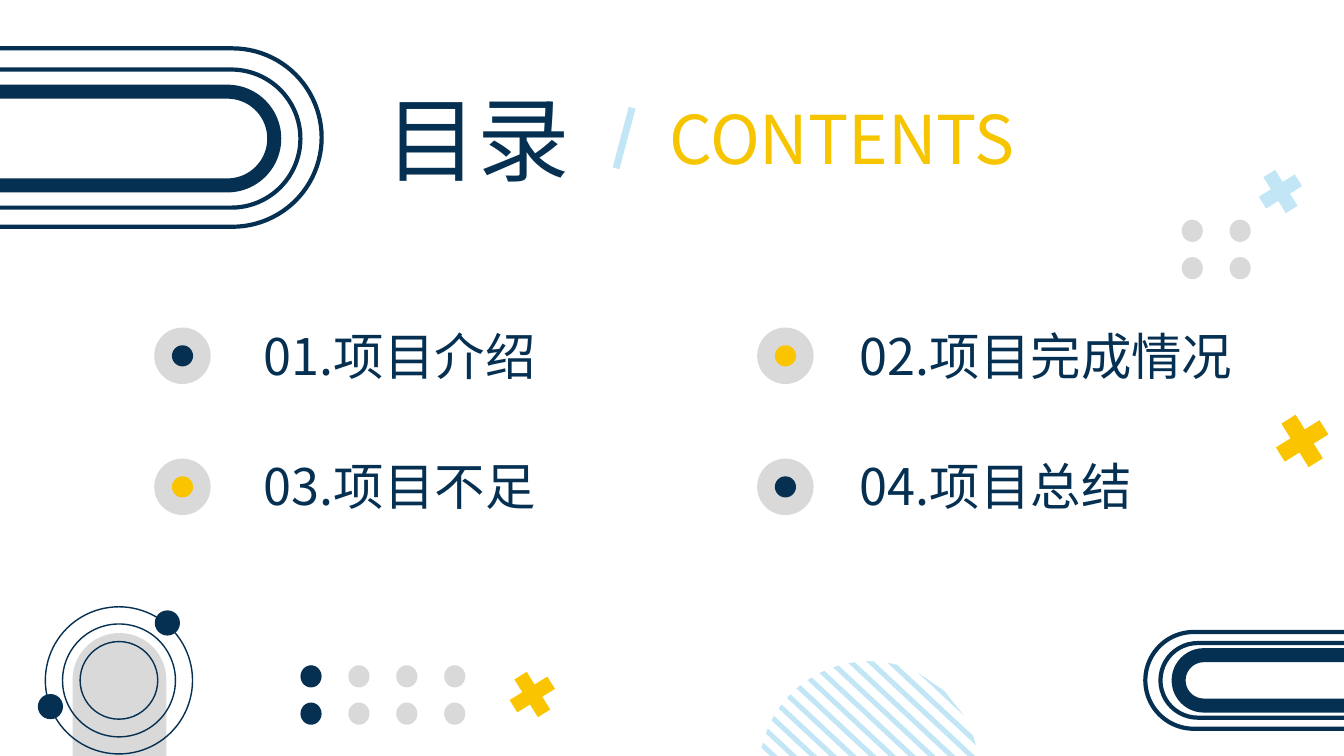
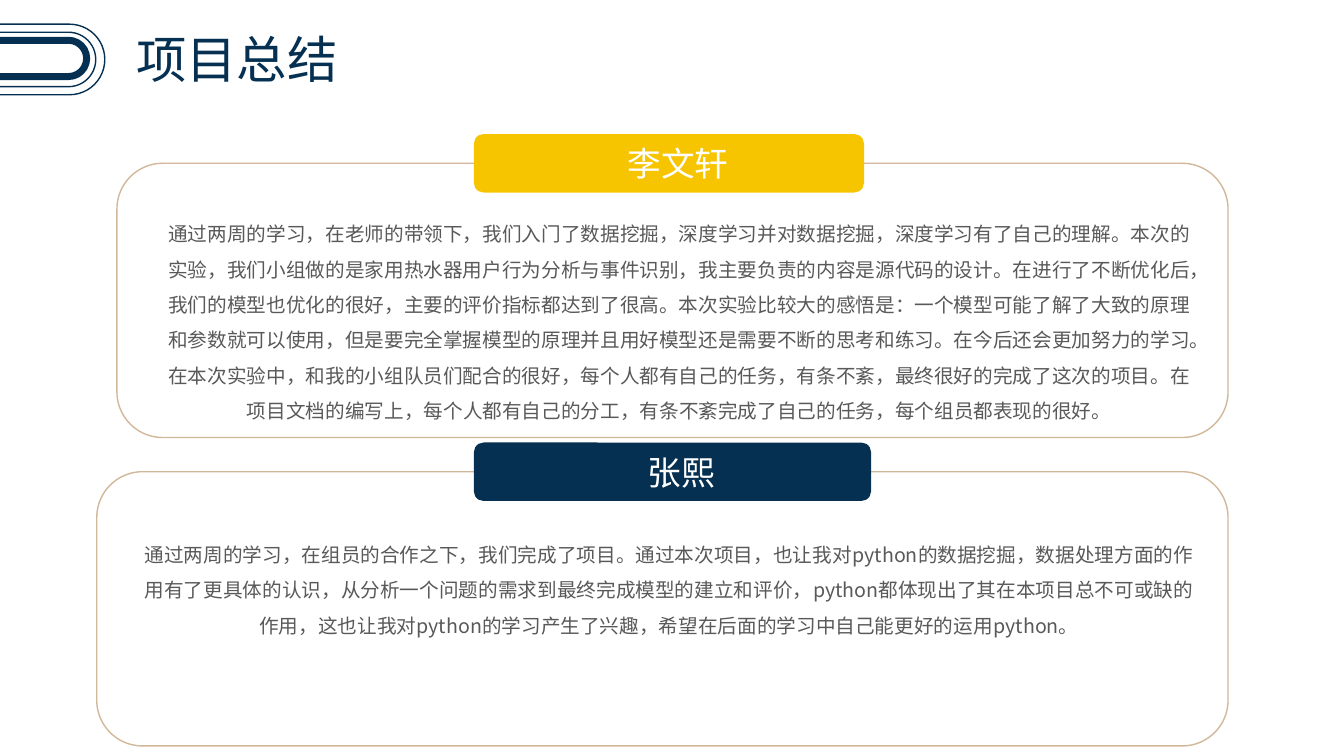
from itertools import product
from math import cos, radians, sin, sqrt

from pptx import Presentation
from pptx.dml.color import RGBColor
from pptx.enum.shapes import MSO_CONNECTOR, MSO_SHAPE
from pptx.enum.text import MSO_ANCHOR, MSO_AUTO_SIZE, PP_ALIGN
from pptx.oxml.ns import qn
from pptx.util import Emu, Pt

PX = 9144
FONT = "Noto Sans CJK SC"
COLORS = {
    "navy": "053052",
    "yellow": "F6C500",
    "gold": "FAC500",
    "sky": "C2E6F5",
    "gray": "D9D9D9",
    "tan": "D2B89A",
    "text": "595959",
    "white": "FFFFFF",
}
FRAME_FORMAT = {
    "word_wrap": True,
    "auto_size": MSO_AUTO_SIZE.NONE,
    "margin_left": Emu(10 * PX),
    "margin_right": Emu(10 * PX),
    "margin_top": Emu(5 * PX),
    "margin_bottom": Emu(5 * PX),
    "vertical_anchor": MSO_ANCHOR.TOP,
}
BADGE_FORMAT = {
    "margin_left": Emu(18 * PX),
    "margin_right": Emu(0),
    "vertical_anchor": MSO_ANCHOR.MIDDLE,
}
AGENDA = ["01.项目介绍", "02.项目完成情况", "03.项目不足", "04.项目总结"]
SUMMARIES = [
    {
        "name": "李文轩",
        "color": "yellow",
        "frame": (116, 162, 1102, 272),
        "badge": (470, 133, 387, 58),
        "body": (151, 204, 1046, 219),
        "words": "通过两周的学习，在老师的带领下，我们入门了数据挖掘，深度学习并对数据挖掘，深度学习有了自己的理解。"
        "本次的实验，我们小组做的是家用热水器用户行为分析与事件识别，我主要负责的内容是源代码的设计。"
        "在进行了不断优化后，我们的模型也优化的很好，主要的评价指标都达到了很高。"
        "本次实验比较大的感悟是：一个模型可能了解了大致的原理和参数就可以使用，"
        "但是要完全掌握模型的原理并且用好模型还是需要不断的思考和练习。在今后还会更加努力的学习。"
        "在本次实验中，和我的小组队员们配合的很好，每个人都有自己的任务，有条不紊，最终很好的完成了这次的项目。"
        "在项目文档的编写上，每个人都有自己的分工，有条不紊完成了自己的任务，每个组员都表现的很好。",
    },
    {
        "name": "张熙",
        "color": "navy",
        "frame": (96, 468, 1122, 272),
        "badge": (470, 439, 394, 58),
        "body": (131, 522, 1065, 144),
        "words": "通过两周的学习，在组员的合作之下，我们完成了项目。"
        "通过本次项目，也让我对python的数据挖掘，数据处理方面的作用有了更具体的认识，"
        "从分析一个问题的需求到最终完成模型的建立和评价，python都体现出了其在本项目总不可或缺的作用，"
        "这也让我对python的学习产生了兴趣，希望在后面的学习中自己能更好的运用python。",
    },
]


def px(value):
    return Emu(round(value * PX))


def rgb(color):
    return RGBColor.from_string(COLORS[color])


def apply_format(target, values):
    for name, value in values.items():
        setattr(target, name, value)


def paint(shape, fill=None, line=None, width=1):
    shape.shadow.inherit = False
    if fill:
        shape.fill.solid()
        shape.fill.fore_color.rgb = rgb(fill)
    else:
        shape.fill.background()
    if line:
        shape.line.color.rgb = rgb(line)
        shape.line.width = Pt(width)
    else:
        shape.line.fill.background()


def add_figure(page, kind, box, adjustment=None, rotation=0, **style):
    shape = page.shapes.add_shape(kind, *map(px, box))
    if adjustment is not None:
        shape.adjustments[0] = adjustment
    shape.rotation = rotation
    paint(shape, **style)
    return shape


def write(shape, words, size, color, align=PP_ALIGN.LEFT, spacing=1.0, frame_format=None):
    frame = shape.text_frame
    apply_format(frame, FRAME_FORMAT | (frame_format or {}))
    para = frame.paragraphs[0]
    apply_format(para, {"alignment": align, "line_spacing": spacing})
    span = para.add_run()
    span.text = words
    apply_format(span.font, {"size": Pt(size), "name": FONT})
    span.font.color.rgb = rgb(color)
    east_asian = span.font._element.makeelement(qn("a:ea"), {"typeface": FONT})
    span.font._element.find(qn("a:latin")).addnext(east_asian)


def add_text(page, box, words, size, color, **options):
    write(page.shapes.add_textbox(*map(px, box)), words, size, color, **options)


def set_title(page, box, words, size, **options):
    title = page.shapes.title
    apply_format(title, dict(zip(("left", "top", "width", "height"), map(px, box))))
    write(title, words, size, "navy", **options)


def add_circle(page, center_x, center_y, diameter, **style):
    box = (center_x - diameter / 2, center_y - diameter / 2, diameter, diameter)
    add_figure(page, MSO_SHAPE.OVAL, box, **style)


def add_pills(page, boxes, widths):
    for box, width in zip(boxes, widths):
        add_figure(page, MSO_SHAPE.ROUNDED_RECTANGLE, box, 0.5, line="navy", width=width)


def add_cross(page, left, top, size, color):
    add_figure(page, MSO_SHAPE.CROSS, (left, top, size, size), 0.337, 328, fill=color)


def add_dots(page, left, top, columns, navy_columns=0):
    for row, column in product(range(2), range(columns)):
        box = (left + 47.5 * column, top + 37 * row, 21, 22)
        color = "navy" if column < navy_columns else "gray"
        add_figure(page, MSO_SHAPE.OVAL, box, fill=color)


def add_striped_disc(page, center_x, center_y, radius, pitch, thickness, tilt):
    along_x, along_y = cos(radians(tilt)), sin(radians(tilt))

    def corner(offset, side):
        offset = min(offset, radius)
        reach = side * sqrt(radius**2 - offset**2)
        return (
            px(center_x + reach * along_x + offset * along_y),
            px(center_y + reach * along_y - offset * along_x),
        )

    for step in range(-4, 9):
        inner = step * pitch - thickness / 2
        outer = inner + thickness
        corners = [corner(inner, -1), corner(inner, 1), corner(outer, 1), corner(outer, -1)]
        builder = page.shapes.build_freeform(*corners[0], scale=1.0)
        builder.add_line_segments(corners[1:], close=True)
        paint(builder.convert_to_shape(), fill="sky")


def add_orbit(page, center_x, center_y):
    pillar = (center_x - 46, 628, 93, 289)
    add_figure(page, MSO_SHAPE.ROUNDED_RECTANGLE, pillar, 0.5, fill="gray")
    for diameter in (77, 112, 146):
        add_circle(page, center_x, center_y, diameter, line="navy")
    for shift_x, shift_y in ((48, -57), (-68, 26)):
        add_circle(page, center_x + shift_x, center_y + shift_y, 25, fill="navy")


def add_slash(page):
    slash = page.shapes.add_connector(MSO_CONNECTOR.STRAIGHT, *map(px, (627, 107, 611, 167)))
    slash.line.color.rgb = rgb("sky")
    slash.line.width = Pt(5)
    properties = slash._element.spPr
    properties.append(properties.makeelement(qn("a:effectLst"), {}))


def add_agenda(page):
    columns = ((181, 252, 343), (779, 843, 398))
    for index, words in enumerate(AGENDA):
        row, column = divmod(index, 2)
        center_x, text_left, text_width = columns[column]
        center_y = 353 + 130 * row
        add_text(page, (text_left, 318 + 129 * row, text_width, 71), words, 36, "navy")
        add_circle(page, center_x, center_y, 56, fill="gray")
        add_circle(page, center_x, center_y, 21, fill="navy" if row == column else "gold")


def add_summary(page, summary):
    add_figure(page, MSO_SHAPE.ROUNDED_RECTANGLE, summary["frame"], line="tan")
    badge = add_figure(
        page, MSO_SHAPE.ROUNDED_RECTANGLE, summary["badge"], fill=summary["color"]
    )
    write(badge, summary["name"], 24, "white", align=PP_ALIGN.CENTER, frame_format=BADGE_FORMAT)
    add_text(
        page, summary["body"], summary["words"], 14, "text", align=PP_ALIGN.CENTER, spacing=1.5
    )


def build_contents(page):
    add_pills(
        page,
        [(-73, 91, 345, 93), (-99, 69, 397, 137), (-120, 48, 439, 177)],
        (10, 3, 3),
    )
    add_dots(page, 1172, 218, 2)
    add_cross(page, 1249, 169, 42, "sky")
    add_orbit(page, 118, 675)
    add_striped_disc(page, 862, 765, 109, 13.36, 5, 43)
    add_dots(page, 298, 660, 4, navy_columns=1)
    add_cross(page, 506, 667, 44, "gold")
    add_pills(
        page,
        [(1169, 650, 244, 50), (1151, 638, 280, 74), (1136, 627, 310, 96)],
        (10, 3, 3),
    )
    add_cross(page, 1266, 412, 51, "gold")
    set_title(page, (364, 76, 220, 121), "目录", 66, align=PP_ALIGN.CENTER)
    add_text(page, (654, 92, 483, 91), "CONTENTS", 48, "yellow")
    add_slash(page)
    add_agenda(page)


def build_summary(page):
    add_pills(
        page,
        [(-50, 40, 136, 36), (-61, 32, 156, 54), (-69, 24, 173, 70)],
        (5, 1, 1),
    )
    set_title(page, (125, 23, 341, 71), "项目总结", 36)
    for summary in SUMMARIES:
        add_summary(page, summary)


def main():
    deck = Presentation()
    deck.slide_width, deck.slide_height = px(1333), px(750)
    for build in (build_contents, build_summary):
        build(deck.slides.add_slide(deck.slide_layouts[5]))
    deck.save("out.pptx")


if __name__ == "__main__":
    main()
